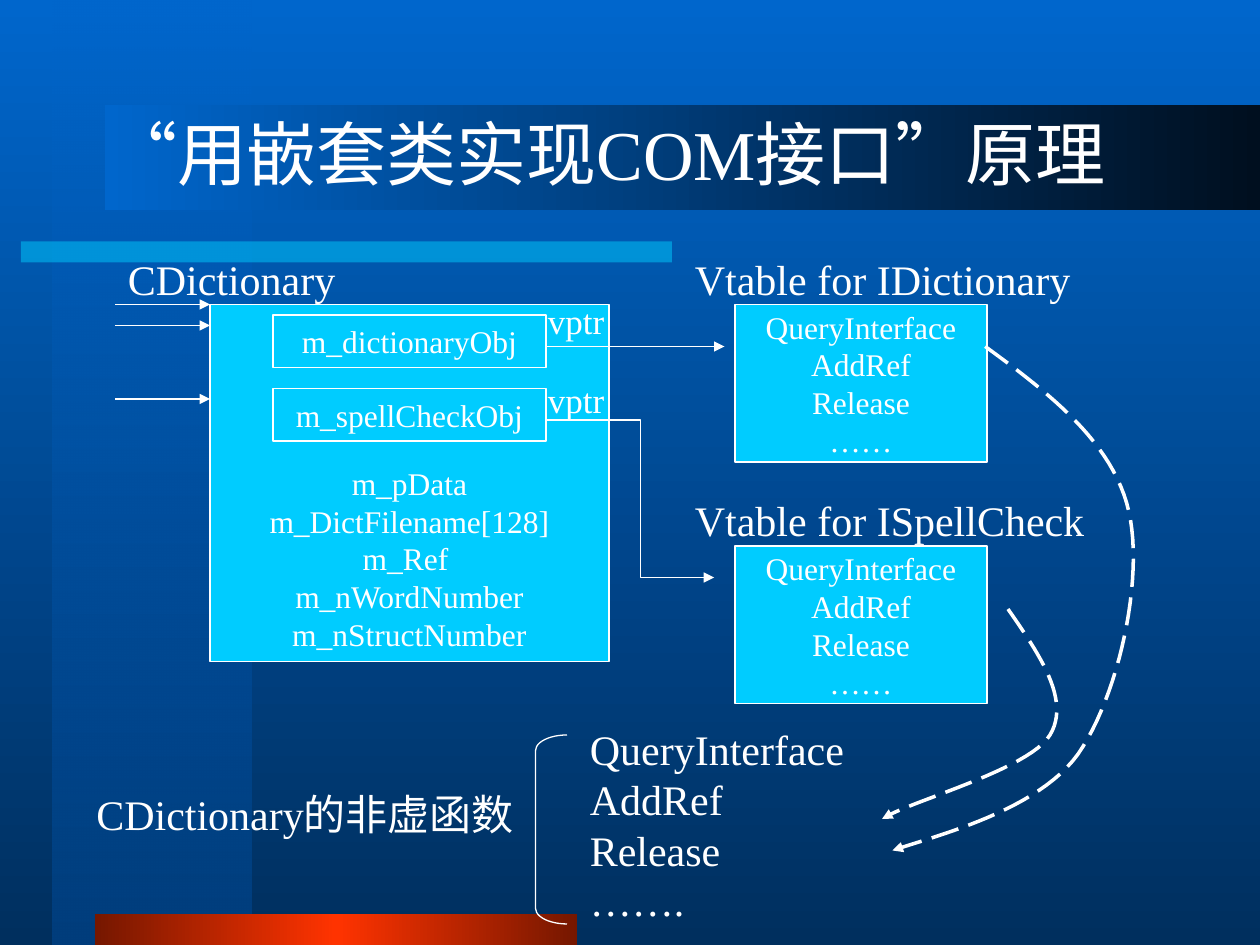
import pptx
import pptx.util
import pptx.dml.color
import pptx.enum.dml
import pptx.enum.lang
import pptx.enum.shapes
import pptx.enum.text
import pptx.oxml
import pptx.oxml.ns

Pt = pptx.util.Pt
KIND = pptx.enum.shapes.MSO_SHAPE
ALIGN = pptx.enum.text.PP_ALIGN
ANCHOR = pptx.enum.text.MSO_ANCHOR
FONT = "Times New Roman"
WHITE, CYAN = "FFFFFF", "00CCFF"
METHODS = ["QueryInterface", "AddRef", "Release"]


def color(code):
    return pptx.dml.color.RGBColor.from_string(code)


def child(parent, tag, **attrs):
    node = pptx.oxml.parse_xml(f"<{tag} {pptx.oxml.ns.nsdecls('a')}/>")
    for key, value in attrs.items():
        node.set(key, str(value))
    parent.append(node)
    return node


def fade(fill, owner, stops, angle):
    """Gradient of (position %, colour, opacity %) stops, angle clockwise."""
    fill.gradient()
    root = next(owner.iter(pptx.oxml.ns.qn("a:gradFill")))
    for node in list(root):
        root.remove(node)
    group = child(root, "a:gsLst")
    for pos, code, alpha in stops:
        stop = child(group, "a:gs", pos=pos * 1000)
        tint = child(stop, "a:srgbClr", val=code)
        if alpha < 100:
            child(tint, "a:alpha", val=alpha * 1000)
    child(root, "a:lin", ang=angle * 60000, scaled=0)


def write(shape, lines, size, align=ALIGN.LEFT, anchor=ANCHOR.MIDDLE):
    frame = shape.text_frame
    frame.word_wrap = False
    frame.vertical_anchor = anchor
    for i, line in enumerate(lines):
        para = frame.paragraphs[0] if i == 0 else frame.add_paragraph()
        para.alignment = align
        run = para.add_run()
        run.text = line
        run.font.name = FONT
        run.font.size = Pt(size)
        run.font.color.rgb = color(WHITE)
    return frame


def rect(slide, box):
    shape = slide.shapes.add_shape(KIND.RECTANGLE, *map(Pt, box))
    shape.shadow.inherit = False
    shape.line.fill.background()
    return shape


def panel(slide, box, lines, anchor=ANCHOR.MIDDLE):
    shape = rect(slide, box)
    shape.fill.solid()
    shape.fill.fore_color.rgb = color(CYAN)
    stroke(shape)
    return write(shape, lines, 18, ALIGN.CENTER, anchor)


def label(slide, box, lines, size=24):
    write(slide.shapes.add_textbox(*map(Pt, box)), lines, size)


def stroke(shape, width=0.75, head=False):
    shape.line.color.rgb = color(WHITE)
    shape.line.width = Pt(width)
    if head:
        child(shape.line._get_or_add_ln(), "a:tailEnd", type="triangle")


def arrow(slide, x, y, length):
    line = slide.shapes.add_connector(
        pptx.enum.shapes.MSO_CONNECTOR.STRAIGHT, Pt(x), Pt(y), Pt(x + length), Pt(y))
    stroke(line, head=True)
    child(line.element.spPr, "a:effectLst")


def route(slide, points, width=0.75, dash=None):
    spots = [(Pt(x), Pt(y)) for x, y in points]
    pen = slide.shapes.build_freeform(*spots[0])
    pen.add_line_segments(spots[1:], close=False)
    shape = pen.convert_to_shape()
    shape.shadow.inherit = False
    shape.fill.background()
    if dash:
        shape.line.color.rgb = color(WHITE)
        shape.line.dash_style = dash
    stroke(shape, width, head=True)


def curve(slide, knots):
    """Dashed arrow along cubic spans: start, then two controls and an end each."""
    points = [knots[0]]
    for k in range(0, len(knots) - 1, 3):
        span = knots[k:k + 4]
        for step in range(1, 25):
            t = step / 24
            mix = ((1 - t) ** 3, 3 * t * (1 - t) ** 2, 3 * t * t * (1 - t), t ** 3)
            points.append(tuple(sum(m * p[axis] for m, p in zip(mix, span))
                                for axis in (0, 1)))
    route(slide, points, 2, pptx.enum.dml.MSO_LINE.LONG_DASH)


def decor(slide):
    fade(slide.background.fill, slide.element,
         [(0, "0066CC", 100), (100, "002F5E", 100)], 90)
    bars = [
        ((30, 0, 114, 540), [(0, "0066CC", 50), (100, "003E7D", 100)], 90),
        ((12, 138, 372, 12), [(0, CYAN, 50), (100, CYAN, 50)], 0),
        ((54, 522, 276, 18),
         [(0, "751700", 100), (50, "FF3300", 100), (100, "751700", 100)], 180),
        ((60, 60, 660, 60), [(0, "000F1F", 100), (100, "0066CC", 100)], 180),
    ]
    for box, stops, angle in bars:
        bar = rect(slide, box)
        fade(bar.fill, bar.element, stops, angle)


def heading(slide, box, text):
    title = slide.shapes.title
    title.left, title.top, title.width, title.height = map(Pt, box)
    frame = write(title, [text], 40)
    frame.word_wrap = True
    frame.auto_size = pptx.enum.text.MSO_AUTO_SIZE.NONE
    font = frame.paragraphs[0].runs[0].font
    font.language_id = pptx.enum.lang.MSO_LANGUAGE_ID.SIMPLIFIED_CHINESE
    slide.shapes.element.append(title.element)


def layout(slide, box):
    """Class box with its members, vptr labels and incoming arrows."""
    x, y, w, h = box
    fields = ["m_pData", "m_DictFilename[128]", "m_Ref ", "m_nWordNumber",
              "m_nStructNumber"]
    panel(slide, box, fields, ANCHOR.BOTTOM).margin_bottom = Pt(5)
    label(slide, (x - 54, y - 36, 234, 42), ["CDictionary"])
    for i, name in enumerate(["m_dictionaryObj", "m_spellCheckObj"]):
        panel(slide, (x + 36, y + 6 + 42 * i, 156, 30), [name])
        label(slide, (x + 186, y - 12 + 45 * i, 234, 42), ["vptr"], 20)
    for drop in (0, 12, 54):
        arrow(slide, x - 54, y + drop, 54)
    arrow(slide, x + 192, y + 24, 102)
    route(slide, [(x + 192, y + 66), (x + 246, y + 66),
                  (x + 246, y + 156), (x + 288, y + 156)])


def vtable(slide, box, name):
    x, y, w, h = box
    panel(slide, box, METHODS + ["……"])
    label(slide, (x - 30, y - 36, 264, 42), [f"Vtable for {name}"])


def bodies(slide, box):
    """Bracketed list of the non-virtual functions."""
    x, y, w, h = box
    label(slide, (x, y + 36, 276, 42), ["CDictionary的非虚函数"])
    label(slide, (x + 282, y, w - 282, h), METHODS + ["……."])
    brace = slide.shapes.add_shape(
        KIND.LEFT_BRACKET, Pt(x + 258), Pt(y + 12), Pt(18), Pt(h - 18))
    brace.adjustments[0] = 0.5
    brace.shadow.inherit = False
    brace.fill.background()
    stroke(brace)


def main():
    deck = pptx.Presentation()
    deck.slide_width, deck.slide_height = Pt(720), Pt(540)
    slide = deck.slides.add_slide(deck.slide_layouts[5])
    decor(slide)
    heading(slide, (54, 54, 612, 66), "“用嵌套类实现COM接口”原理")
    layout(slide, (120, 174, 228, 204))
    vtable(slide, (420, 174, 144, 90), "IDictionary")
    vtable(slide, (420, 312, 144, 90), "ISpellCheck")
    bodies(slide, (48, 408, 462, 126))
    curve(slide, [(576, 348), (594, 374), (612, 400), (600, 420),
                  (588, 440), (519, 458), (504, 468)])
    curve(slide, [(563, 198), (600, 225), (636, 253), (645, 292),
                  (654, 331), (639, 398), (616, 431),
                  (593, 463), (537, 477), (510, 486)])
    deck.save("out.pptx")


if __name__ == "__main__":
    main()
